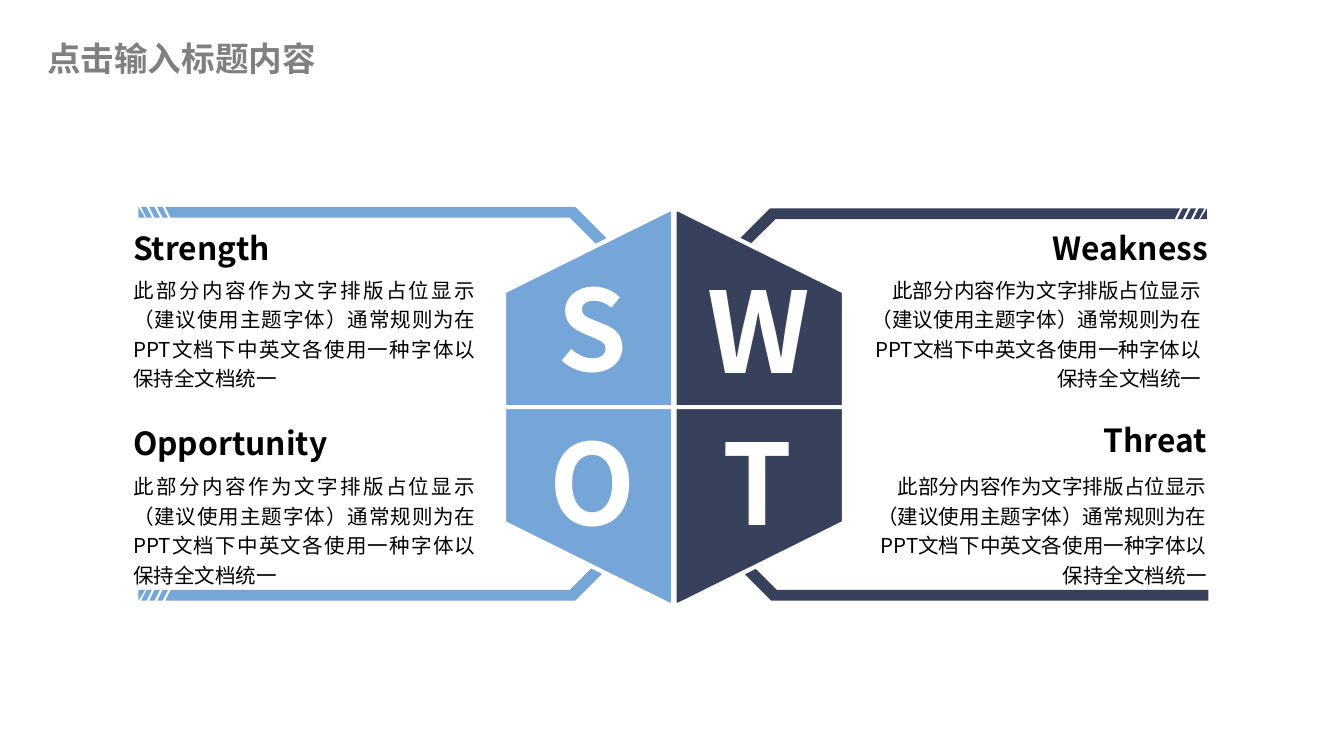
from dataclasses import dataclass

from lxml import etree
from pptx import Presentation
from pptx.dml.color import RGBColor
from pptx.enum.text import MSO_ANCHOR, MSO_AUTO_SIZE, PP_ALIGN
from pptx.oxml.ns import qn
from pptx.util import Inches, Pt

LEFT, RIGHT = PP_ALIGN.LEFT, PP_ALIGN.RIGHT
CENTER, JUSTIFY = PP_ALIGN.CENTER, PP_ALIGN.JUSTIFY
TOP, MIDDLE = MSO_ANCHOR.TOP, MSO_ANCHOR.MIDDLE
NO_AUTOFIT = MSO_AUTO_SIZE.NONE

WIDTH = Inches(10)
HEIGHT = WIDTH * 9 // 16
COLUMN, ROW = WIDTH / 1000, HEIGHT / 562.5
FONT = "Noto Sans CJK SC"
COLORS = {
    "light": "76A6D7",
    "dark": "37415C",
    "white": "FFFFFF",
    "black": "000000",
    "gray": "808080",
}

BODY = "此部分内容作为文字排版占位显示（建议使用主题字体）通常规则为在PPT文档下中英文各使用一种字体以保持全文档统一"
BRACKET_SIZE = (399, 147)
BRACKET_ARM = [(325, 0), (399, 74), (399, 147), (391, 147), (391, 78), (321, 8)]
STRIPED_END = [(24, 8), (20, 0)]
PLAIN_END = [(0, 8), (0, 0)]
STRIPES = [[(x, 0), (x + 4, 0), (x + 8, 8), (x + 4, 8)] for x in (14, 8, 2)]
STRIPES.append([(0, 0), (5, 8), (0, 8)])
PANEL_SIZE = (126, 147)
PANEL = [(126, 147), (0, 147), (0, 61), (123, 0), (126, 0)]
NO_MARGINS = dict.fromkeys(("margin_left", "margin_top", "margin_right", "margin_bottom"), 0)


@dataclass
class Quadrant:
    heading: str
    color: str
    flip_x: bool
    flip_y: bool
    striped: bool
    bracket: tuple
    panel: tuple
    heading_box: tuple
    body_box: tuple
    letter_box: tuple


QUADRANTS = [
    Quadrant("Strength", "light", False, False, True, (103, 154), (375, 156),
             (99, 170, 107, 25), (99, 203, 255, 94), (375, 188, 132, 129)),
    Quadrant("Weakness", "dark", True, False, True, (499, 155), (502, 156),
             (779, 170, 120, 25), (639, 203, 255, 94), (515, 190, 99, 129)),
    Quadrant("Opportunity", "light", False, True, True, (103, 300), (375, 303),
             (99, 315, 147, 25), (99, 349, 255, 94), (375, 303, 132, 129)),
    Quadrant("Threat", "dark", True, True, False, (500, 300), (502, 303),
             (751, 313, 147, 25), (643, 349, 255, 94), (503, 303, 121, 129)),
]


def grid_box(box):
    left, top, width, height = box
    return [round(value) for value in (left * COLUMN, top * ROW, width * COLUMN, height * ROW)]


def color_of(name):
    return RGBColor.from_string(COLORS[name])


def add_outline(slide, box, outlines, quadrant):
    left, top, width, height = box

    def place(point):
        x, y = point
        x = width - x if quadrant.flip_x else x
        y = height - y if quadrant.flip_y else y
        return round((left + x) * COLUMN), round((top + y) * ROW)

    first, *others = [[place(point) for point in outline] for outline in outlines]
    builder = slide.shapes.build_freeform(*first[0])
    builder.add_line_segments(first[1:], close=True)
    for outline in others:
        builder.move_to(*outline[0])
        builder.add_line_segments(outline[1:], close=True)
    shape = builder.convert_to_shape()
    shape.shadow.inherit = False
    shape.fill.solid()
    shape.fill.fore_color.rgb = color_of(quadrant.color)
    shape.line.fill.background()
    return shape


def write_text(shape, text, size, color, frame_format, paragraph_format, bold=False):
    frame = shape.text_frame
    frame_values = {"word_wrap": True, "auto_size": NO_AUTOFIT, "vertical_anchor": TOP}
    for name, value in {**frame_values, **frame_format}.items():
        setattr(frame, name, value)
    paragraph = frame.paragraphs[0]
    for name, value in paragraph_format.items():
        setattr(paragraph, name, value)
    run = paragraph.add_run()
    run.text = text
    for name, value in {"name": FONT, "size": Pt(size), "bold": bold}.items():
        setattr(run.font, name, value)
    run.font.color.rgb = color_of(color)
    etree.SubElement(run.font._element, qn("a:ea"), typeface=FONT)


def add_title(slide, box):
    title = slide.shapes.title
    for name, value in zip(("left", "top", "width", "height"), grid_box(box)):
        setattr(title, name, value)
    frame_format = {"margin_left": 0, "margin_right": 0, "vertical_anchor": MIDDLE}
    write_text(title, "点击输入标题内容", 18, "gray", frame_format, {"alignment": LEFT}, True)


def add_bracket(slide, quadrant):
    end = STRIPED_END if quadrant.striped else PLAIN_END
    stripes = STRIPES if quadrant.striped else []
    add_outline(slide, quadrant.bracket + BRACKET_SIZE, [BRACKET_ARM + end, *stripes], quadrant)


def add_description(slide, quadrant):
    body = slide.shapes.add_textbox(*grid_box(quadrant.body_box))
    body_format = {"alignment": RIGHT if quadrant.flip_x else JUSTIFY, "line_spacing": 1.2}
    write_text(body, BODY, 11, "black", NO_MARGINS, body_format)
    heading = slide.shapes.add_textbox(*grid_box(quadrant.heading_box))
    heading_format = {"alignment": RIGHT if quadrant.flip_x else LEFT}
    write_text(heading, quadrant.heading, 17, "black", NO_MARGINS, heading_format, True)


def add_panel(slide, quadrant):
    panel = add_outline(slide, quadrant.panel + PANEL_SIZE, [PANEL], quadrant)
    panel.line.color.rgb = color_of("white")
    panel.line.width = Pt(2.25)


def add_letter(slide, quadrant):
    letter = slide.shapes.add_textbox(*grid_box(quadrant.letter_box))
    write_text(letter, quadrant.heading[0], 60, "white", {}, {"alignment": CENTER}, True)


def main():
    presentation = Presentation()
    presentation.slide_width, presentation.slide_height = WIDTH, HEIGHT
    slide = presentation.slides.add_slide(presentation.slide_layouts[5])
    add_title(slide, (35, 22, 233, 42))
    for add_part in (add_bracket, add_description, add_panel, add_letter):
        for quadrant in QUADRANTS:
            add_part(slide, quadrant)
    presentation.save("out.pptx")


if __name__ == "__main__":
    main()
